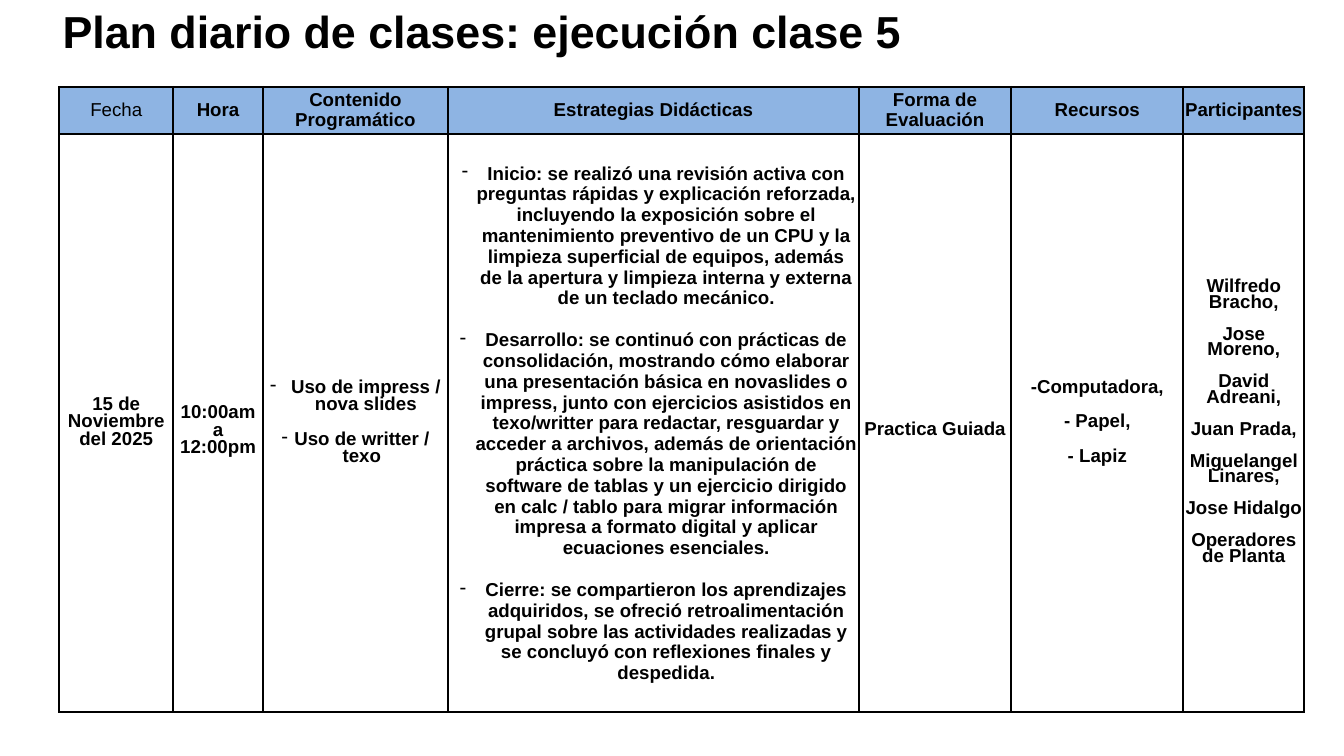
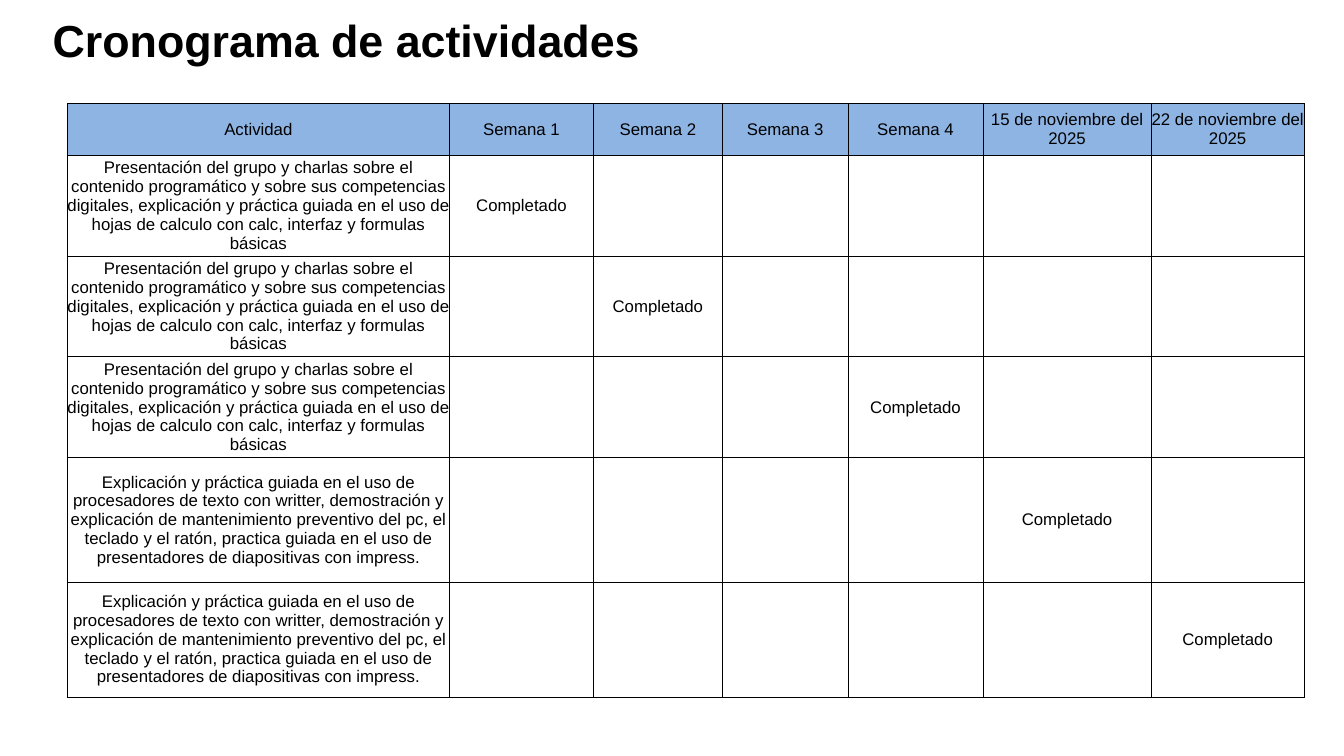
from dataclasses import dataclass, field

from lxml.etree import SubElement
from pptx import Presentation
from pptx.dml.color import RGBColor
from pptx.enum.text import MSO_ANCHOR as Anchor, MSO_AUTO_SIZE as AutoSize, PP_ALIGN as Align
from pptx.oxml.ns import qn
from pptx.util import Inches, Pt


@dataclass(frozen=True)
class Theme:
    font: str = "Arial"
    ink: RGBColor = RGBColor.from_string("000000")
    header: RGBColor = RGBColor.from_string("8EB4E3")
    paper: RGBColor = RGBColor.from_string("FFFFFF")
    title_size: float = 48
    title_leading: float = 27
    plan_size: float = 20
    schedule_size: float = 18


@dataclass
class CellText:
    """Paragraphs of one cell; gaps and leading in points, indents in inches."""
    lines: list = field(default_factory=list)
    leading: float = None
    gap: float = 0
    joined: tuple = ()      # positions of paragraphs that take no gap
    indents: tuple = ()     # one hanging dash indent per paragraph
    bold: bool = False
    drop: float = 0         # extra top margin


class Deck:
    def __init__(self, theme):
        self.theme = theme
        self.file = Presentation()
        self.file.slide_width, self.file.slide_height = Inches(20), Inches(11.25)
        self.page = None

    def add_page(self, title, left, top):
        self.page = self.file.slides.add_slide(self.file.slide_layouts[5])
        box = self.page.shapes.title
        place = dict(left=left, top=top, width=16.31, height=0.48)
        for name, value in place.items():
            setattr(box, name, Inches(value))
        frame = box.text_frame
        layout = dict(margin_left=0, margin_right=0, margin_top=0, margin_bottom=0,
                      word_wrap=True, vertical_anchor=Anchor.TOP,
                      auto_size=AutoSize.SHAPE_TO_FIT_TEXT)
        for name, value in layout.items():
            setattr(frame, name, value)
        self.set_text(frame.paragraphs[0], title, self.theme.title_size,
                      bold=True, leading=self.theme.title_leading)

    def set_text(self, para, text, size, bold=False, leading=None, gap=0):
        para.alignment = Align.CENTER
        para.space_before = Pt(gap)
        if leading:
            para.line_spacing = Pt(leading)
        span = para.add_run()
        span.text = text
        for name, value in dict(name=self.theme.font, size=Pt(size), bold=bold).items():
            setattr(span.font, name, value)
        span.font.color.rgb = self.theme.ink

    def add_dash(self, para, indent):
        props = para._p.get_or_add_pPr()
        props.set("marL", str(Inches(indent)))
        props.set("indent", str(-Inches(indent)))
        SubElement(props, qn("a:buChar")).set("char", "-")

    def add_borders(self, cell, weight):
        props = cell._tc.get_or_add_tcPr()
        for side in "LRTB":
            line = SubElement(props, qn(f"a:ln{side}"), w=str(Pt(weight)))
            fill = SubElement(line, qn("a:solidFill"))
            SubElement(fill, qn("a:srgbClr"), val=str(self.theme.ink))

    def fill_cell(self, cell, content, size, margin):
        margins = dict(margin_left=margin, margin_right=margin,
                       margin_top=margin + content.drop, margin_bottom=margin)
        for name, value in margins.items():
            setattr(cell, name, Inches(value))
        cell.vertical_anchor = Anchor.MIDDLE
        frame = cell.text_frame
        for index, text in enumerate(content.lines):
            para = frame.add_paragraph() if index else frame.paragraphs[0]
            gap = content.gap if index and index not in content.joined else 0
            if content.indents:
                self.add_dash(para, content.indents[index])
            self.set_text(para, text, size, content.bold, content.leading, gap)

    def add_grid(self, left, top, columns, heights, rows, size, weight, margin=0, body=None):
        frame = self.page.shapes.add_table(
            len(rows), len(columns), Inches(left), Inches(top),
            Inches(sum(columns)), Inches(sum(heights)))
        table = frame.table
        table.first_row = table.horz_banding = False
        for column, width in zip(table.columns, columns):
            column.width = Inches(width)
        for row, height in zip(table.rows, heights):
            row.height = Inches(height)
        for row_index, row in enumerate(rows):
            color = body if row_index else self.theme.header
            for column_index, content in enumerate(row):
                cell = table.cell(row_index, column_index)
                self.add_borders(cell, weight)
                if color is None:
                    cell.fill.background()
                else:
                    cell.fill.solid()
                    cell.fill.fore_color.rgb = color
                self.fill_cell(cell, content, size, margin)


# Daily class plan
PLAN_HEADINGS = ["Fecha", "Hora", "Contenido Programático", "Estrategias Didácticas",
                 "Forma de Evaluación", "Recursos", "Participantes"]
LEADING = 18.3
STRATEGIES = [
    "Inicio: se realizó una revisión activa con preguntas rápidas y explicación reforzada, "
    "incluyendo la exposición sobre el mantenimiento preventivo de un CPU y la limpieza "
    "superficial de equipos, además de la apertura y limpieza interna y externa de un "
    "teclado mecánico.",
    "Desarrollo: se continuó con prácticas de consolidación, mostrando cómo elaborar una "
    "presentación básica en novaslides o impress, junto con ejercicios asistidos en "
    "texo/writter para redactar, resguardar y acceder a archivos, además de orientación "
    "práctica sobre la manipulación de software de tablas y un ejercicio dirigido en "
    "calc / tablo para migrar información impresa a formato digital y aplicar ecuaciones "
    "esenciales.",
    "Cierre: se compartieron los aprendizajes adquiridos, se ofreció retroalimentación "
    "grupal sobre las actividades realizadas y se concluyó con reflexiones finales y "
    "despedida.",
]
PARTICIPANTS = ["Wilfredo Bracho,", "Jose Moreno,", "David Adreani,", "Juan Prada,",
                "Miguelangel", "Linares,", "Jose Hidalgo", "Operadores de Planta"]
PLAN_CELLS = [
    CellText(["15 de Noviembre del 2025"], LEADING, bold=True),
    CellText(["10:00am a", "12:00pm"], LEADING, bold=True, drop=0.24),
    CellText(["Uso de impress / nova slides", "Uso de writter / texo"], LEADING,
             gap=LEADING, indents=(0.31, 0.19), bold=True),
    CellText(STRATEGIES, gap=22.3, indents=(0.38,) * 3, bold=True),
    CellText(["Practica Guiada"], LEADING, bold=True, drop=0.22),
    CellText(["-Computadora,", "- Papel,", "- Lapiz"], LEADING, gap=LEADING, bold=True),
    CellText(PARTICIPANTS, 17, gap=17, joined=(PARTICIPANTS.index("Linares,"),), bold=True),
]

# Activity schedule
SCHEDULE_HEADINGS = ["Actividad", *(f"Semana {week}" for week in range(1, 5)),
                     *(f"{day} de noviembre del 2025" for day in (15, 22))]
SPREADSHEETS = (
    "Presentación del grupo y charlas sobre el contenido programático y sobre sus "
    "competencias digitales, explicación y práctica guiada en el uso de hojas de calculo "
    "con calc, interfaz y formulas básicas")
DOCUMENTS = (
    "Explicación y práctica guiada en el uso de procesadores de texto con writter, "
    "demostración y explicación de mantenimiento preventivo del pc, el teclado y el ratón, "
    "practica guiada en el uso de presentadores de diapositivas con impress.")
ACTIVITIES = [(SPREADSHEETS, 1), (SPREADSHEETS, 2), (SPREADSHEETS, 4),
              (DOCUMENTS, 5), (DOCUMENTS, 6)]     # activity, column completed


def schedule_row(activity, done):
    marks = [CellText(["Completado"] if column == done else [])
             for column in range(1, len(SCHEDULE_HEADINGS))]
    return [CellText([activity]), *marks]


def main():
    theme = Theme()
    deck = Deck(theme)

    deck.add_page("Plan diario de clases: ejecución clase 5", -0.98, 0.48)
    headings = [CellText([text], 21.6, bold=text != "Fecha") for text in PLAN_HEADINGS]
    deck.add_grid(0.88, 1.29, [1.7, 1.33, 2.76, 6.11, 2.27, 2.56, 1.8], [0.71, 8.6],
                  [headings, PLAN_CELLS], theme.plan_size, weight=2.25, margin=0.02)

    deck.add_page("Cronograma de actividades", -3, 0.62)
    headings = [CellText([text]) for text in SCHEDULE_HEADINGS]
    deck.add_grid(1, 1.54, [5.69, 2.14, 1.92, 1.87, 2.01, 2.5, 2.28],
                  [0.77, 1.26, 1.26, 1.29, 1.85, 1.71],
                  [headings, *(schedule_row(*entry) for entry in ACTIVITIES)],
                  theme.schedule_size, weight=1, body=theme.paper)

    deck.file.save("out.pptx")


if __name__ == "__main__":
    main()
